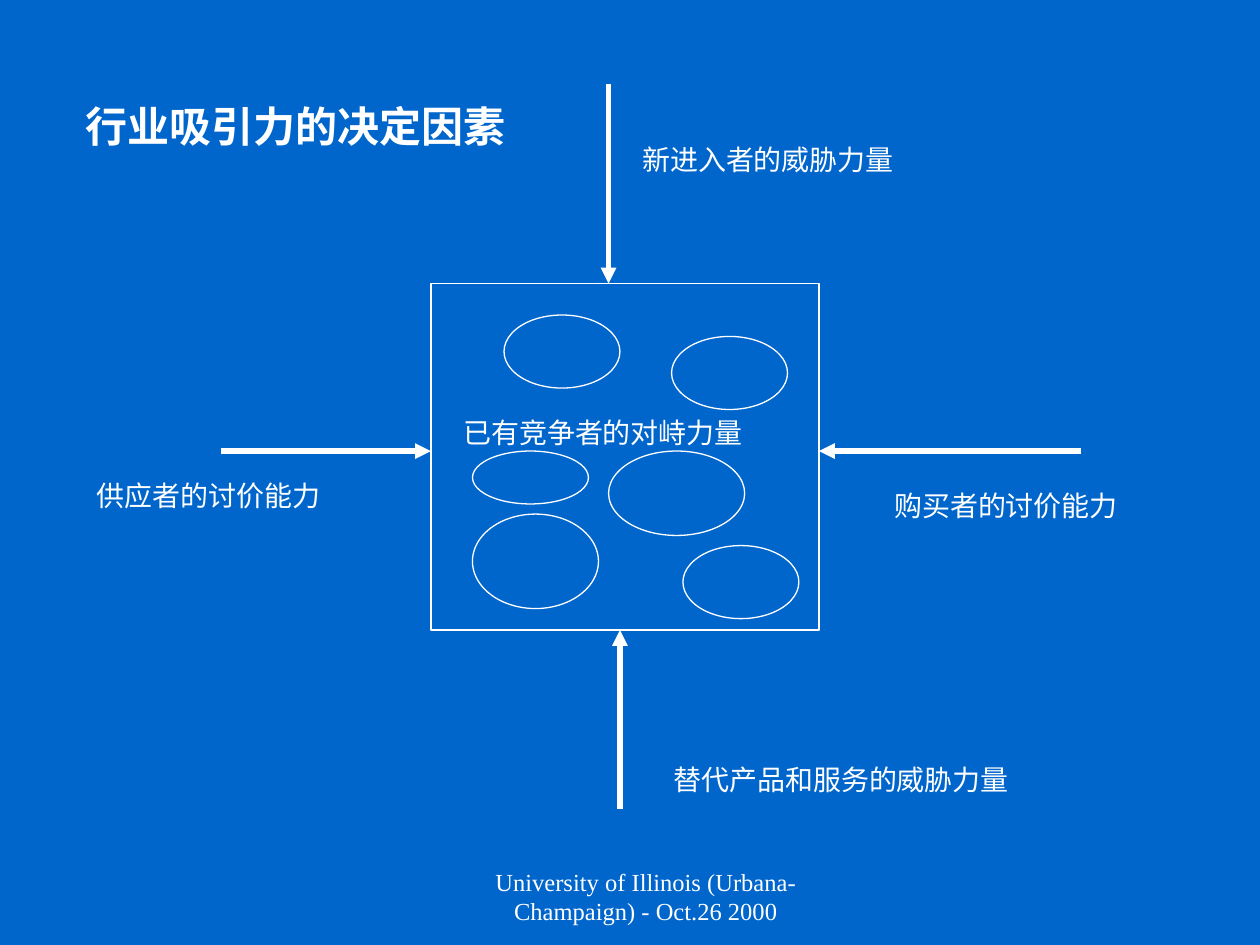
"""Build a slide showing the five forces that decide how attractive an industry is."""
from lxml import etree
from pptx import Presentation
from pptx.dml.color import RGBColor
from pptx.enum.shapes import MSO_CONNECTOR, MSO_SHAPE
from pptx.enum.text import MSO_ANCHOR, MSO_AUTO_SIZE, PP_ALIGN
from pptx.oxml.ns import qn
from pptx.util import Inches, Pt

BLUE = RGBColor(0x00, 0x66, 0xCC)
WHITE = RGBColor(0xFF, 0xFF, 0xFF)
FONT = "Times New Roman"
RECTANGLE, OVAL = MSO_SHAPE.RECTANGLE, MSO_SHAPE.OVAL
STRAIGHT = MSO_CONNECTOR.STRAIGHT
TOP = MSO_ANCHOR.TOP
NO_AUTOFIT = MSO_AUTO_SIZE.NONE
LEFT, CENTER = PP_ALIGN.LEFT, PP_ALIGN.CENTER
TITLE_ONLY = 5


def write_text(shape, text, size, bold=False, alignment=LEFT):
    frame = shape.text_frame
    frame.word_wrap = True
    frame.auto_size = NO_AUTOFIT
    frame.vertical_anchor = TOP
    paragraph = frame.paragraphs[0]
    paragraph.alignment = alignment
    run = paragraph.add_run()
    run.text = text
    run.font.name = FONT
    run.font.size = Pt(size)
    run.font.bold = bold
    run.font.color.rgb = WHITE


presentation = Presentation()
presentation.slide_width = Inches(10)
presentation.slide_height = Inches(7.5)
slide = presentation.slides.add_slide(presentation.slide_layouts[TITLE_ONLY])
slide.background.fill.solid()
slide.background.fill.fore_color.rgb = BLUE

title = slide.shapes.title
title.left, title.top = Inches(0.58), Inches(0.75)
title.width, title.height = Inches(3.75), Inches(0.5)
write_text(title, "行业吸引力的决定因素", 24, bold=True)

industry_and_competitors = [
    (RECTANGLE, 3.42, 2.25, 3.08, 2.75),
    (OVAL, 4, 2.5, 0.92, 0.58),
    (OVAL, 5.33, 2.67, 0.92, 0.58),
    (OVAL, 3.75, 3.58, 0.92, 0.42),
    (OVAL, 4.83, 3.58, 1.08, 0.67),
    (OVAL, 3.75, 4.08, 1, 0.75),
    (OVAL, 5.42, 4.33, 0.92, 0.58),
]
for kind, *box in industry_and_competitors:
    shape = slide.shapes.add_shape(kind, *map(Inches, box))
    shape.shadow.inherit = False
    shape.fill.solid()
    shape.fill.fore_color.rgb = BLUE
    shape.line.color.rgb = WHITE
    shape.line.width = Pt(0.75)

force_arrows = [
    (4.83, 0.67, 4.83, 2.25),
    (1.75, 3.58, 3.42, 3.58),
    (8.58, 3.58, 6.5, 3.58),
    (4.92, 6.42, 4.92, 5),
]
for ends in force_arrows:
    arrow = slide.shapes.add_connector(STRAIGHT, *map(Inches, ends))
    arrow.line.color.rgb = WHITE
    arrow.line.width = Pt(3)
    properties = arrow.element.spPr
    line = properties.find(qn("a:ln"))
    etree.SubElement(line, qn("a:tailEnd"), type="triangle")
    etree.SubElement(properties, qn("a:effectLst"))

force_labels = [
    ("已有竞争者的对峙力量", 3.58, 3.25, 2.75),
    ("新进入者的威胁力量", 5, 1.08, 2.25),
    ("供应者的讨价能力", 0.67, 3.75, 2.17),
    ("购买者的讨价能力", 7, 3.83, 2.17),
    ("替代产品和服务的威胁力量", 5.25, 6, 3),
]
for text, left, top, width in force_labels:
    label = slide.shapes.add_textbox(Inches(left), Inches(top), Inches(width), Inches(0.37))
    write_text(label, text, 16)

footer = slide.shapes.add_textbox(Inches(3.42), Inches(6.83), Inches(3.17), Inches(0.5))
footer.text_frame.margin_left = Inches(0.34)
write_text(footer, "University of Illinois (Urbana-Champaign) - Oct.26 2000", 14, alignment=CENTER)

presentation.save("out.pptx")
